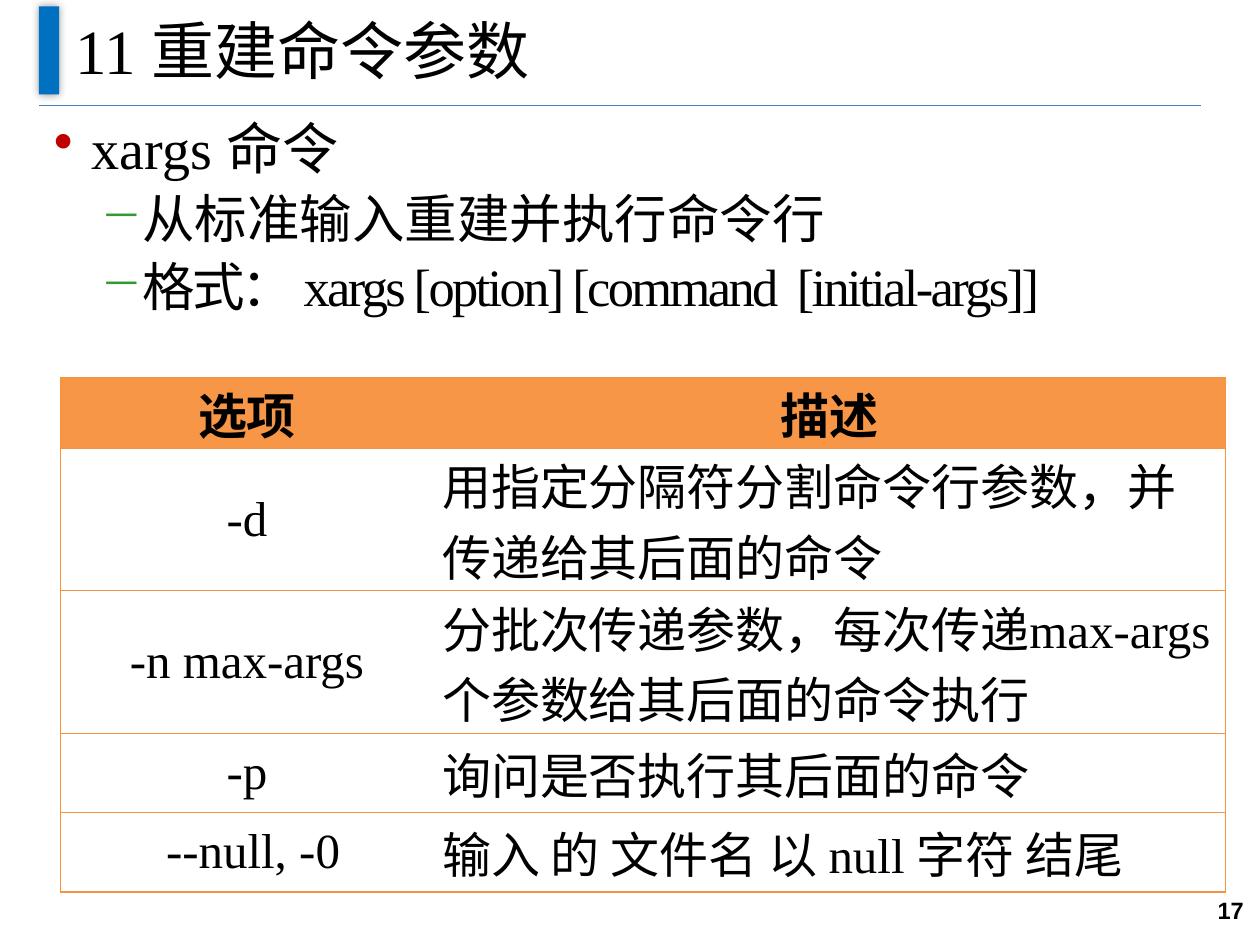
from collections import namedtuple

from lxml import etree
from pptx import Presentation
from pptx import util as u
from pptx.dml.color import RGBColor
from pptx.enum import shapes, text
from pptx.oxml import parse_xml
from pptx.oxml.ns import nsdecls, qn

WIDTH, HEIGHT = u.Inches(10), u.Inches(7.5)
COLUMNS, ROWS = 100, 75  # square grid units over the whole slide
COLORS = {
    "ink": "000000", "paper": "FFFFFF", "bar": "0070C0", "rule": "4B7EBC",
    "dot": "C00000", "dash": "339933", "header": "F79646", "border": "F69240",
}
SERIF, SANS = "Times New Roman", "Arial"
LEFT, CENTER, RIGHT, JUSTIFY = (
    text.PP_ALIGN.LEFT, text.PP_ALIGN.CENTER, text.PP_ALIGN.RIGHT, text.PP_ALIGN.JUSTIFY)
MIDDLE = text.MSO_ANCHOR.MIDDLE

Box = namedtuple("Box", "left top width height")

OPTIONS = [
    ("选项", "描述"),
    ("-d", "用指定分隔符分割命令行参数，并传递给其后面的命令"),
    ("-n max-args", "分批次传递参数，每次传递max-args个参数给其后面的命令执行"),
    ("-p", "询问是否执行其后面的命令"),
    (" --null, -0", "输入 的 文件名 以 null 字符 结尾"),
]


def across(columns):
    return u.Emu(round(WIDTH * columns / COLUMNS))


def down(rows):
    return u.Emu(round(HEIGHT * rows / ROWS))


def place(box):
    return across(box.left), down(box.top), across(box.width), down(box.height)


def color(name):
    return RGBColor.from_string(COLORS[name])


def write(para, words, size=28, font=SERIF, bold=False, align=LEFT, spacing=None):
    """Put formatted words in a paragraph; spacing is tracking in points."""
    para.alignment = align
    span = para.add_run()
    span.text = words
    span.font.size, span.font.name, span.font.bold = u.Pt(size), font, bold
    span.font.color.rgb = color("ink")
    props = span._r.get_or_add_rPr()
    props.set("lang", "zh-CN")
    if spacing:
        props.set("spc", str(int(spacing * 100)))


def add_bullet(para, mark, tint, margin, hang):
    props = para._p.get_or_add_pPr()
    props.set("marL", str(across(margin)))
    props.set("indent", str(-across(hang)))
    bullet_color = etree.SubElement(props, qn("a:buClr"))
    etree.SubElement(bullet_color, qn("a:srgbClr"), val=COLORS[tint])
    etree.SubElement(props, qn("a:buChar"), char=mark)


def add_frame(page, box, anchor=text.MSO_ANCHOR.TOP):
    frame = page.shapes.add_textbox(*place(box)).text_frame
    frame.word_wrap = True
    frame.vertical_anchor = anchor
    return frame


def add_heading(page, box):
    """Draw the accent bar, the title and the rule that closes the box."""
    bar = page.shapes.add_shape(
        shapes.MSO_SHAPE.RECTANGLE,
        *place(Box(box.left, box.top + 0.5, 1.6, box.height - 1.4)))
    bar.fill.solid()
    bar.fill.fore_color.rgb = color("bar")
    bar.line.fill.background()
    bar._element.spPr.append(parse_xml(
        f'<a:effectLst {nsdecls("a")}><a:outerShdw blurRad="{u.Pt(5)}" dist="0" dir="0">'
        f'<a:srgbClr val="{COLORS["ink"]}"><a:alpha val="40000"/></a:srgbClr>'
        '</a:outerShdw></a:effectLst>'))

    bottom = down(box.top + box.height)
    rule = page.shapes.add_connector(
        shapes.MSO_CONNECTOR.STRAIGHT, across(box.left), bottom,
        across(box.left + box.width), bottom)
    rule.line.color.rgb = color("rule")
    rule.line.width = u.Pt(0.75)
    etree.SubElement(rule._element.spPr, qn("a:effectLst"))

    title = add_frame(page, Box(box.left + 1.9, box.top - 0.3, 90, box.height), MIDDLE)
    write(title.paragraphs[0], "11 重建命令参数", size=36)


def add_outline(page, box):
    frame = add_frame(page, box)
    command = frame.paragraphs[0]
    add_bullet(command, "•", "dot", 3, 3)
    command.line_spacing = 0.9
    command.space_after = u.Pt(4.5)
    write(command, "xargs 命令", size=32, align=JUSTIFY)
    details = [
        ("从标准输入重建并执行命令行", None),
        ("格式： xargs [option] [command  [initial-args]]", -1.5),
    ]
    for words, spacing in details:
        para = frame.add_paragraph()
        para.level = 1
        add_bullet(para, "─", "dash", 6.6, 2.9)
        para.line_spacing = 0.83
        para.space_before = para.space_after = u.Pt(4.5)
        write(para, words, size=30, align=JUSTIFY, spacing=spacing)


def set_borders(cell, visible):
    """Draw the named sides of a cell and hide the others."""
    props = cell._tc.get_or_add_tcPr()
    for side in "LRTB":
        line = etree.SubElement(props, qn(f"a:ln{side}"), w=str(u.Pt(0.75)))
        if side in visible:
            fill = etree.SubElement(line, qn("a:solidFill"))
            etree.SubElement(fill, qn("a:srgbClr"), val=COLORS["border"])
        else:
            etree.SubElement(line, qn("a:noFill"))


def add_options(page, box):
    widths, heights = (0.32, 0.68), (5.6, 11.3, 11.3, 6.3, 6.3)
    table = page.shapes.add_table(len(OPTIONS), len(widths), *place(box)).table
    table.first_row = table.horz_banding = False
    for column, share in zip(table.columns, widths):
        column.width = across(box.width * share)
    for row, height in zip(table.rows, heights):
        row.height = down(height * box.height / sum(heights))
    for i, entry in enumerate(OPTIONS):
        for j, words in enumerate(entry):
            cell = table.cell(i, j)
            set_borders(cell, "TB" + "LR"[j])
            cell.fill.solid()
            cell.fill.fore_color.rgb = color("paper" if i else "header")
            cell.vertical_anchor = MIDDLE
            cell.margin_left = cell.margin_right = across(0.7)
            cell.margin_top = cell.margin_bottom = 0
            centred = i == 0 or j == 0
            write(cell.text_frame.paragraphs[0], words, bold=i == 0,
                  align=CENTER if centred else LEFT)


def add_page_number(page, box):
    frame = add_frame(page, box, MIDDLE)
    write(frame.paragraphs[0], "17", size=13.5, font=SANS, bold=True, align=RIGHT)


def main():
    deck = Presentation()
    deck.slide_width, deck.slide_height = WIDTH, HEIGHT
    page = deck.slides.add_slide(deck.slide_layouts[6])
    add_heading(page, Box(3.1, 0, 92.2, 8.4))
    add_outline(page, Box(3.3, 9.1, 91.8, 20))
    add_page_number(page, Box(90.4, 69.5, 9.3, 5.5))
    add_options(page, Box(4.8, 30, 92.5, 40.8))
    deck.save("out.pptx")


if __name__ == "__main__":
    main()
